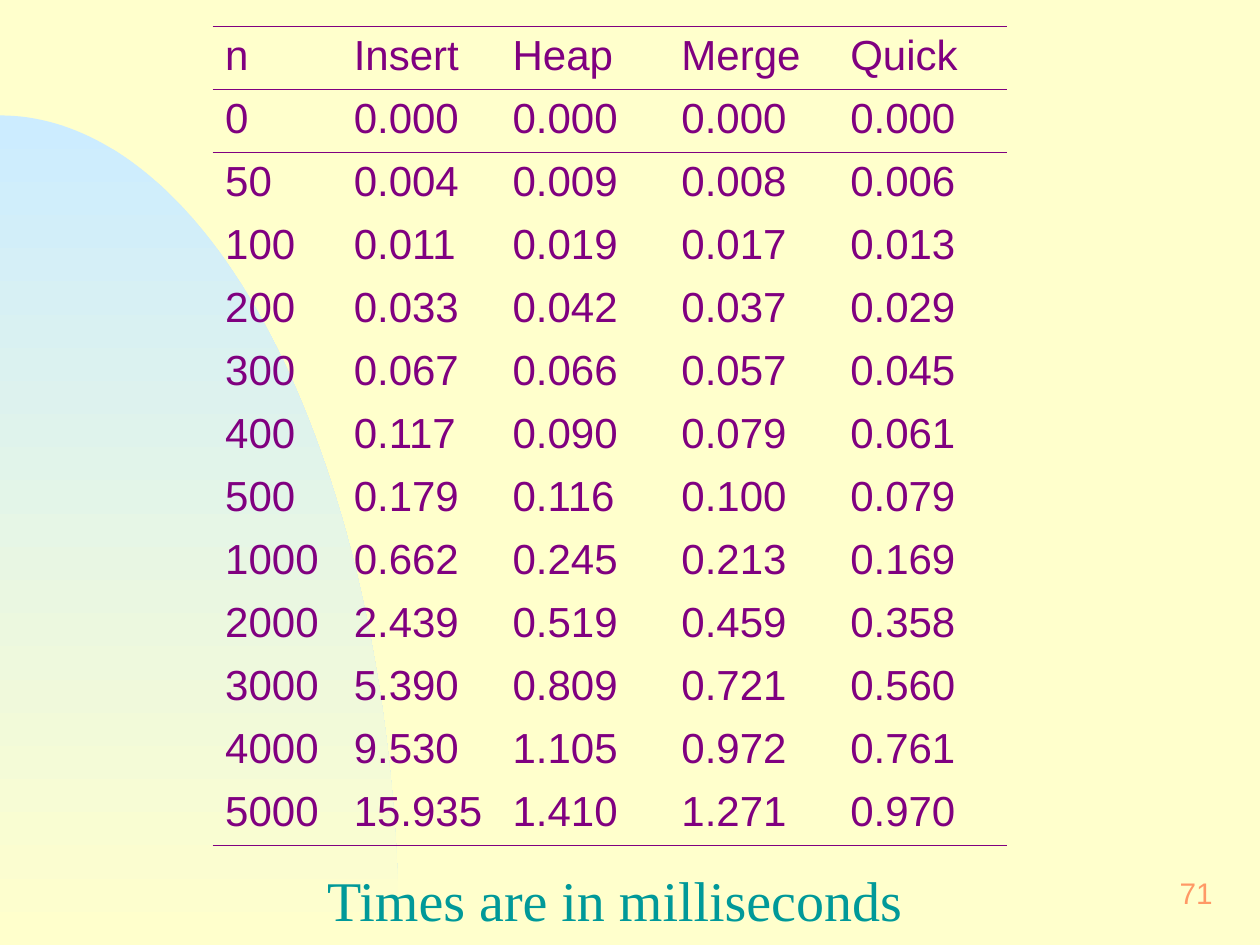
"""Build a slide comparing run times of four sorting methods."""
import math

import lxml.etree
import pptx
import pptx.dml.color
import pptx.enum.text
import pptx.oxml.ns
import pptx.util

Pt = pptx.util.Pt
qn = pptx.oxml.ns.qn
Align = pptx.enum.text.PP_ALIGN
Anchor = pptx.enum.text.MSO_ANCHOR

HUES = {
    "page": "FFFFCC",
    "sky": "CCECFF",
    "plum": "800080",
    "teal": "009999",
    "peach": "FF9966",
}
TIMES = [
    ("n", "Insert", "Heap", "Merge", "Quick"),
    ("0", "0.000", "0.000", "0.000", "0.000"),
    ("50", "0.004", "0.009", "0.008", "0.006"),
    ("100", "0.011", "0.019", "0.017", "0.013"),
    ("200", "0.033", "0.042", "0.037", "0.029"),
    ("300", "0.067", "0.066", "0.057", "0.045"),
    ("400", "0.117", "0.090", "0.079", "0.061"),
    ("500", "0.179", "0.116", "0.100", "0.079"),
    ("1000", "0.662", "0.245", "0.213", "0.169"),
    ("2000", "2.439", "0.519", "0.459", "0.358"),
    ("3000", "5.390", "0.809", "0.721", "0.560"),
    ("4000", "9.530", "1.105", "0.972", "0.761"),
    ("5000", "15.935", "1.410", "1.271", "0.970"),
]
LABELS = [
    {
        "text": "71", "box": (552, 492, 150, 36), "inset": (9, 4.5),
        "font": {"name": "Arial", "size": Pt(17)}, "hue": "peach",
        "align": Align.RIGHT, "anchor": Anchor.MIDDLE,
    },
    {
        "text": "Times are in milliseconds", "box": (127.5, 491, 448, 46),
        "inset": (7.2, 3.6),
        "font": {"name": "Times New Roman", "size": Pt(32)}, "hue": "teal",
        "align": Align.CENTER, "anchor": Anchor.TOP,
    },
]
CELL = {"name": "Arial", "size": Pt(24), "bold": False}
WIDTHS = (73.5, 90.75, 96.5, 96.5, 96.5)
LEFT, TOP, ROW = 121.5, 15, 36
WIDE, HIGH = 720, 540
ARC = (228, 474)
STEPS = 90
PLAIN = "{2D5ABB26-0587-4C30-8999-92F81FD0307C}"


def rgb(hue):
    return pptx.dml.color.RGBColor.from_string(HUES[hue])


def style(font, look, hue):
    for key, value in look.items():
        setattr(font, key, value)
    font.color.rgb = rgb(hue)


def add_arc(slide):
    wide, high = ARC
    turns = [math.pi / 2 * step / STEPS for step in range(STEPS + 1)]
    points = [
        (Pt(wide * math.sin(turn)), Pt(HIGH - high * math.cos(turn)))
        for turn in turns
    ]
    pen = slide.shapes.build_freeform(*points[0])
    pen.add_line_segments(points[1:] + [(0, Pt(HIGH))], close=True)
    arc = pen.convert_to_shape()
    arc.shadow.inherit = False
    arc.line.fill.background()
    arc.fill.gradient()
    arc.fill.gradient_angle = 270
    for stop, hue in zip(arc.fill.gradient_stops, ("sky", "page")):
        stop.color.rgb = rgb(hue)


def add_rule(cell, side):
    props = cell._tc.get_or_add_tcPr()
    line = lxml.etree.SubElement(props, qn("a:" + side), w=str(Pt(0.45)))
    fill = lxml.etree.SubElement(line, qn("a:solidFill"))
    lxml.etree.SubElement(fill, qn("a:srgbClr"), val=HUES["plum"])


def add_times(slide):
    rows, cols = len(TIMES), len(WIDTHS)
    frame = slide.shapes.add_table(
        rows, cols, Pt(LEFT), Pt(TOP), Pt(sum(WIDTHS)), Pt(ROW * rows)
    )
    table = frame.table
    table._tbl.tblPr.find(qn("a:tableStyleId")).text = PLAIN
    table.horz_banding = False
    for col, width in zip(table.columns, WIDTHS):
        col.width = Pt(width)
    for y, values in enumerate(TIMES):
        table.rows[y].height = Pt(ROW)
        for x, value in enumerate(values):
            cell = table.cell(y, x)
            cell.text = value
            style(cell.text_frame.paragraphs[0].font, CELL, "plum")
            if y in (0, 1):
                add_rule(cell, "lnT")
            if y in (0, rows - 1):
                add_rule(cell, "lnB")
            cell.fill.background()


def add_label(slide, label):
    box = slide.shapes.add_textbox(*map(Pt, label["box"]))
    frame = box.text_frame
    across, down = map(Pt, label["inset"])
    setup = {
        "word_wrap": True, "vertical_anchor": label["anchor"],
        "margin_left": across, "margin_right": across,
        "margin_top": down, "margin_bottom": down,
    }
    for key, value in setup.items():
        setattr(frame, key, value)
    para = frame.paragraphs[0]
    para.text = label["text"]
    para.alignment = label["align"]
    style(para.font, label["font"], label["hue"])


def main():
    deck = pptx.Presentation()
    deck.slide_width, deck.slide_height = Pt(WIDE), Pt(HIGH)
    slide = deck.slides.add_slide(deck.slide_layouts[6])
    slide.background.fill.solid()
    slide.background.fill.fore_color.rgb = rgb("page")
    add_arc(slide)
    add_times(slide)
    for label in LABELS:
        add_label(slide, label)
    deck.save("out.pptx")


if __name__ == "__main__":
    main()
